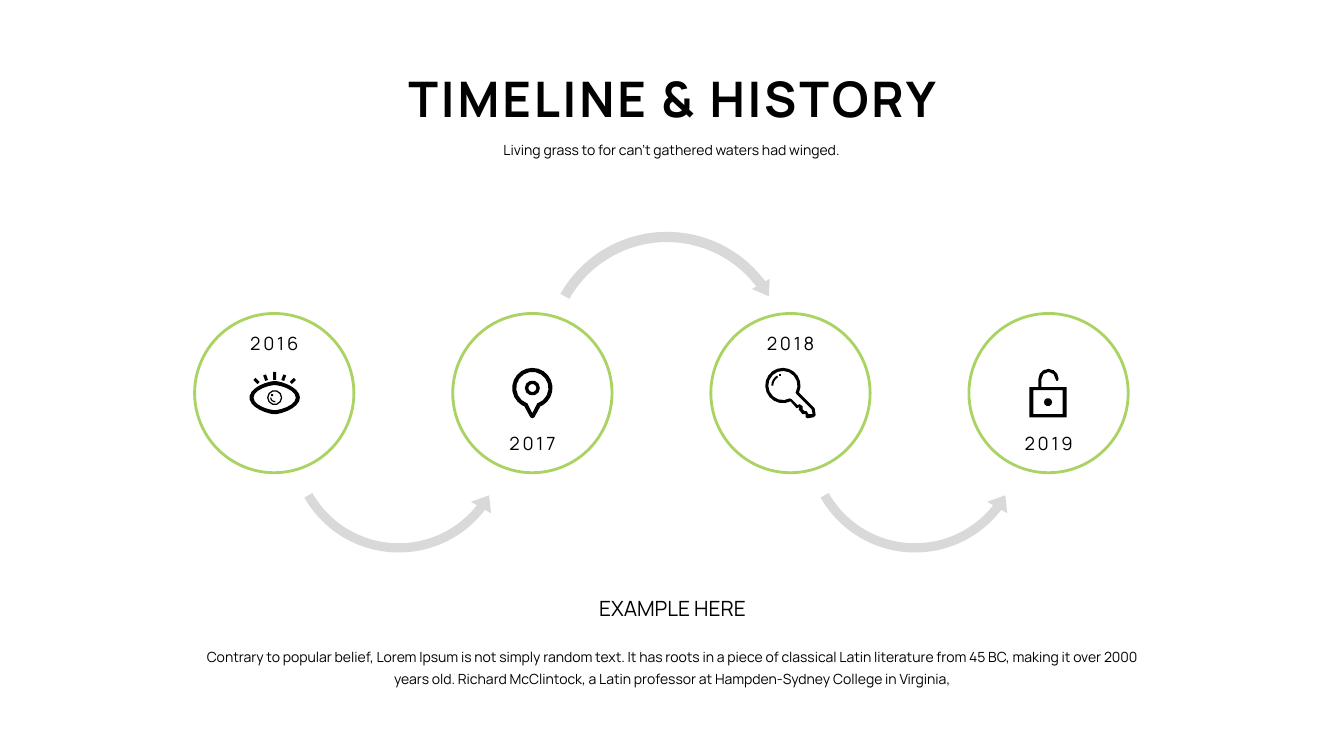
"""Build a timeline slide with four linked year circles."""
import dataclasses
import math

import lxml.etree
import pptx
import pptx.dml.color
import pptx.enum.shapes
import pptx.enum.text
import pptx.oxml.ns
import pptx.util

Inches = pptx.util.Inches
Shape = pptx.enum.shapes.MSO_SHAPE


@dataclasses.dataclass(frozen=True)
class Theme:
    """Colours and type sizes of the slide."""
    font: str = "Manrope"
    ink: str = "000000"
    arrow: str = "D9D9D9"
    ring: str = "96C83C"
    title: int = 35
    heading: int = 15
    year: int = 13
    body: int = 10


def write_text(box, text, theme, size, bold=False, spacing=0, leading=None):
    """Write one centred paragraph into a box."""
    frame = box.text_frame
    frame.word_wrap = True
    frame.auto_size = pptx.enum.text.MSO_AUTO_SIZE.SHAPE_TO_FIT_TEXT
    para = frame.paragraphs[0]
    para.alignment = pptx.enum.text.PP_ALIGN.CENTER
    if leading:
        para.line_spacing = pptx.util.Pt(leading)
    span = para.add_run()
    span.text = text
    span.font.name = theme.font
    span.font.size = pptx.util.Pt(size)
    span.font.bold = bold
    span.font.color.rgb = pptx.dml.color.RGBColor.from_string(theme.ink)
    if spacing:
        span.font._element.set("spc", str(spacing * 100))


def arc(x, y, radius, start, end, height=None, taper=1):
    """Return points along an arc, clockwise in degrees from the right."""
    height = height or radius
    steps = max(4, math.ceil(radius * math.radians(abs(end - start)) / 0.06))
    points = []
    for step in range(steps + 1):
        angle = math.radians(start + (end - start) * step / steps)
        across = math.copysign(abs(math.cos(angle)) ** taper, math.cos(angle))
        points.append((x + radius * across, y + height * math.sin(angle)))
    return points


def oval(x, y, radius, height=None, taper=1):
    """Return the points of a closed oval."""
    if radius < 0.1:
        return [(x + radius * math.cos(step * math.pi / 5), y + radius * math.sin(step * math.pi / 5))
                for step in range(10)]
    return arc(x, y, radius, 0, 360, height, taper)[:-1]


def band(x, y, outer, inner, start, end):
    """Return the points of a curved band."""
    return arc(x, y, outer, start, end) + arc(x, y, inner, end, start)


def bar(x1, y1, x2, y2, half=0.015):
    """Return the corners of a slanted bar."""
    length = math.hypot(x2 - x1, y2 - y1)
    across, down = (y1 - y2) * half / length, (x2 - x1) * half / length
    return [(x1 + across, y1 + down), (x2 + across, y2 + down),
            (x2 - across, y2 - down), (x1 - across, y1 - down)]


def rectangle(left, top, right, bottom):
    """Return the corners of a rectangle."""
    return [(left, top), (right, top), (right, bottom), (left, bottom)]


def eye_outlines(x=2.725, y=3.945):
    """Return the outlines of the eye icon."""
    lashes = [bar(x + side * x1, y1, x + side * x2, y2)
              for x1, y1, x2, y2 in ((0.08, 3.775, 0.1, 3.72), (0.16, 3.8, 0.2, 3.76))
              for side in (-1, 1)]
    return [oval(x, y, 0.25, 0.165, 1.35), oval(x, y, 0.21, 0.125, 1.35),
            oval(x, y, 0.075), oval(x, y, 0.062),
            band(x, y, 0.045, 0.033, 80, 180), rectangle(2.69, 3.91, 2.71, 3.93),
            bar(x, 3.69, x, 3.77)] + lashes


def pin_outlines(x=5.28, y=3.85):
    """Return the outlines of the map pin icon."""
    tip = [(5.36, 4.03), (5.3, 4.14), (5.28, 4.15), (5.26, 4.14), (5.2, 4.03)]
    return [arc(x, y, 0.2, 120, 420) + tip,
            arc(x, y, 0.16, 110, 430) + [(5.33, 4), (5.28, 4.1), (5.23, 4)],
            oval(x, y, 0.075), oval(x, y, 0.04)]


def key_outlines(x=7.765, y=3.825):
    """Return the outlines of the key icon."""
    outside = [(8.07, 4.04), (8.08, 4.05), (8.09, 4.12), (8.07, 4.14), (8.01, 4.15),
               (7.99, 4.14), (7.99, 4.11), (7.96, 4.11), (7.92, 4.06), (7.93, 4.05),
               (7.92, 4.04), (7.91, 4.05), (7.9, 4.05)]
    inside = [(7.89, 3.89), (7.9, 3.91), (8.05, 4.06), (8.06, 4.11), (8.02, 4.11),
              (8, 4.08), (7.98, 4.08), (7.96, 4.06), (7.96, 4.03), (7.93, 4.01),
              (7.91, 4.02), (7.85, 3.96)]
    return [arc(x, y, 0.175, 64, 384) + outside, arc(x, y, 0.145, 62, 388) + inside]


def lock_outlines(x=10.395):
    """Return the outlines of the open padlock icon."""
    shackle = ([(10.3, 3.84)] + arc(10.4, 3.76, 0.1, 180, 360) + [(10.49, 3.78), (10.48, 3.78)]
               + arc(10.4, 3.76, 0.07, 360, 180) + [(10.33, 3.84)])
    return [oval(x, 3.99, 0.04), shackle,
            rectangle(10.21, 3.84, 10.58, 4.14), rectangle(10.25, 3.87, 10.54, 4.11)]


class TimelineSlide:
    """Hold the theme and the slide, and add its elements."""

    def __init__(self, deck, theme):
        """Add a title-only slide."""
        self.theme = theme
        self.page = deck.slides.add_slide(deck.slide_layouts[5])

    def title(self, text, left, top, width, height):
        """Place and fill the title."""
        box = self.page.shapes.title
        box.left, box.top, box.width, box.height = map(Inches, (left, top, width, height))
        box.text_frame.vertical_anchor = pptx.enum.text.MSO_ANCHOR.MIDDLE
        write_text(box, text, self.theme, self.theme.title, bold=True, spacing=2)

    def text(self, text, left, top, width, height, **style):
        """Add a text box."""
        box = self.page.shapes.add_textbox(*map(Inches, (left, top, width, height)))
        write_text(box, text, self.theme, **style)

    def paint(self, shape, colour):
        """Give a shape a plain fill with no line or shadow."""
        shape.shadow.inherit = False
        shape.fill.solid()
        shape.fill.fore_color.rgb = pptx.dml.color.RGBColor.from_string(colour)
        shape.line.fill.background()

    def arrow(self, kind, left, top, size, adjustments):
        """Add a curved arrow."""
        shape = self.page.shapes.add_shape(kind, *map(Inches, (left, top, size, size)))
        for index, value in enumerate(adjustments):
            shape.adjustments[index] = value
        self.paint(shape, self.theme.arrow)

    def ring(self, left, top, size):
        """Add a circle with a slightly transparent line."""
        shape = self.page.shapes.add_shape(Shape.OVAL, *map(Inches, (left, top, size, size)))
        shape.shadow.inherit = False
        shape.fill.background()
        shape.line.width = pptx.util.Pt(2)
        shape.line.color.rgb = pptx.dml.color.RGBColor.from_string(self.theme.ring)
        colour = shape.line._ln.find(".//" + pptx.oxml.ns.qn("a:srgbClr"))
        lxml.etree.SubElement(colour, pptx.oxml.ns.qn("a:alpha"), val="80000")

    def icon(self, outlines):
        """Add an icon made of closed outlines."""
        builder = None
        for outline in outlines:
            first, *rest = [(Inches(x), Inches(y)) for x, y in outline]
            if builder is None:
                builder = self.page.shapes.build_freeform(*first, scale=1.0)
            else:
                builder.move_to(*first)
            builder.add_line_segments(rest, close=True)
        self.paint(builder.convert_to_shape(), self.theme.ink)


def main():
    """Build and save the deck."""
    deck = pptx.Presentation()
    deck.slide_width, deck.slide_height = Inches(13.33), Inches(7.5)
    theme = Theme()
    slide = TimelineSlide(deck, theme)
    slide.title("TIMELINE & HISTORY", 3.25, 0.63, 6.84, 0.69)
    slide.text("Living grass to for can't gathered waters had winged.",
               4.36, 1.35, 4.6, 0.27, size=theme.body)

    lefts = [1.93 + 2.56 * index for index in range(4)]
    for left in lefts[::2]:
        slide.arrow(Shape.LEFT_CIRCULAR_ARROW, left + 0.88, 3.26, 2.29,
                    (0.04, 4.87, 22.62, 90.25, 0.05))
    slide.arrow(Shape.CIRCULAR_ARROW, 5.35, 2.25, 2.53,
                (0.04, 4.36, 193.89, 125.76, 0.04))
    for index, left in enumerate(lefts):
        slide.ring(left, 3.11, 1.58)
        slide.text(str(2016 + index), left + 0.33, 4.24 if index % 2 else 3.25, 0.92, 0.32,
                   size=theme.year, spacing=2)

    key_glints = [[rectangle(7.73, 3.71, 7.75, 3.73)], [band(7.765, 3.825, 0.115, 0.095, 180, 240)]]
    for outlines in (eye_outlines(), pin_outlines(), *key_glints, key_outlines(), lock_outlines()):
        slide.icon(outlines)

    slide.text("EXAMPLE HERE", 5.42, 5.86, 2.5, 0.35, size=theme.heading)
    slide.text("Contrary to popular belief, Lorem Ipsum is not simply random text. It has roots in "
               "a piece of classical Latin literature from 45 BC, making it over 2000 years old. "
               "Richard McClintock, a Latin professor at Hampden-Sydney College in Virginia,",
               1.79, 6.33, 9.75, 0.53, size=theme.body, leading=16)
    deck.save("out.pptx")


if __name__ == "__main__":
    main()
